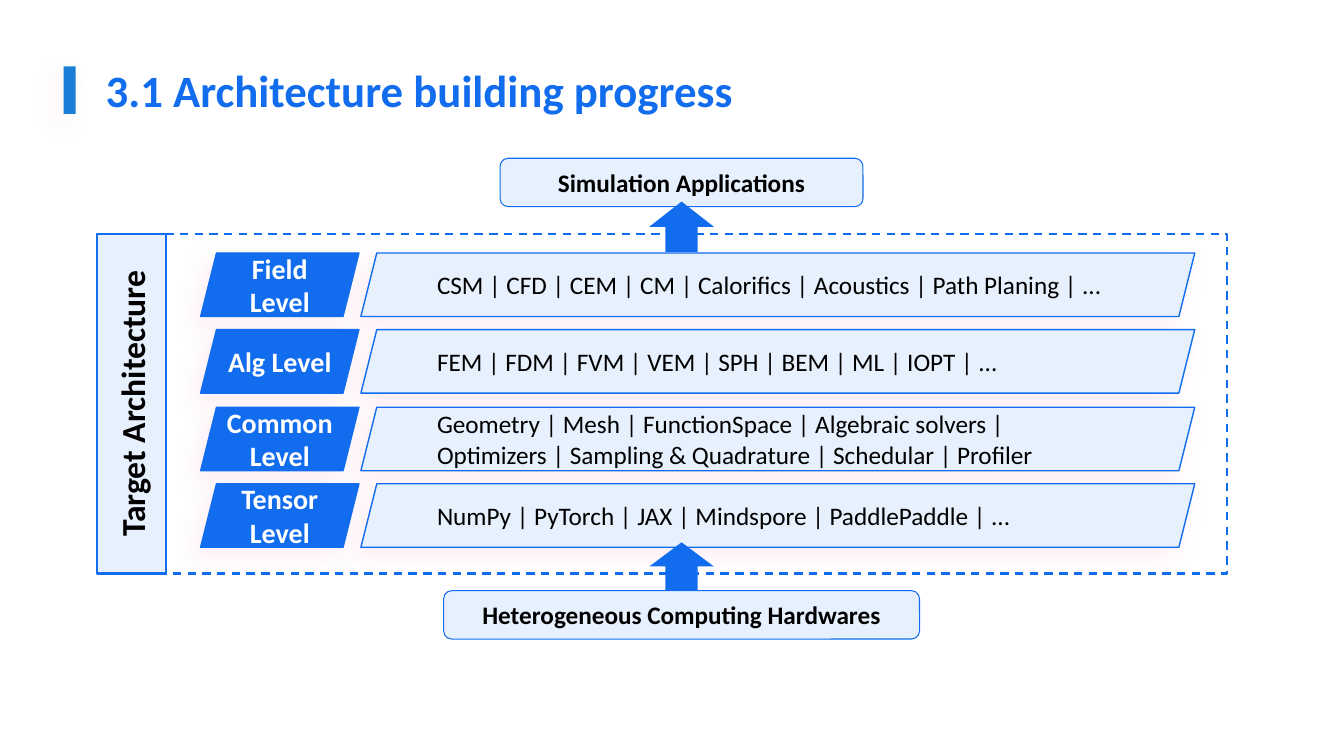
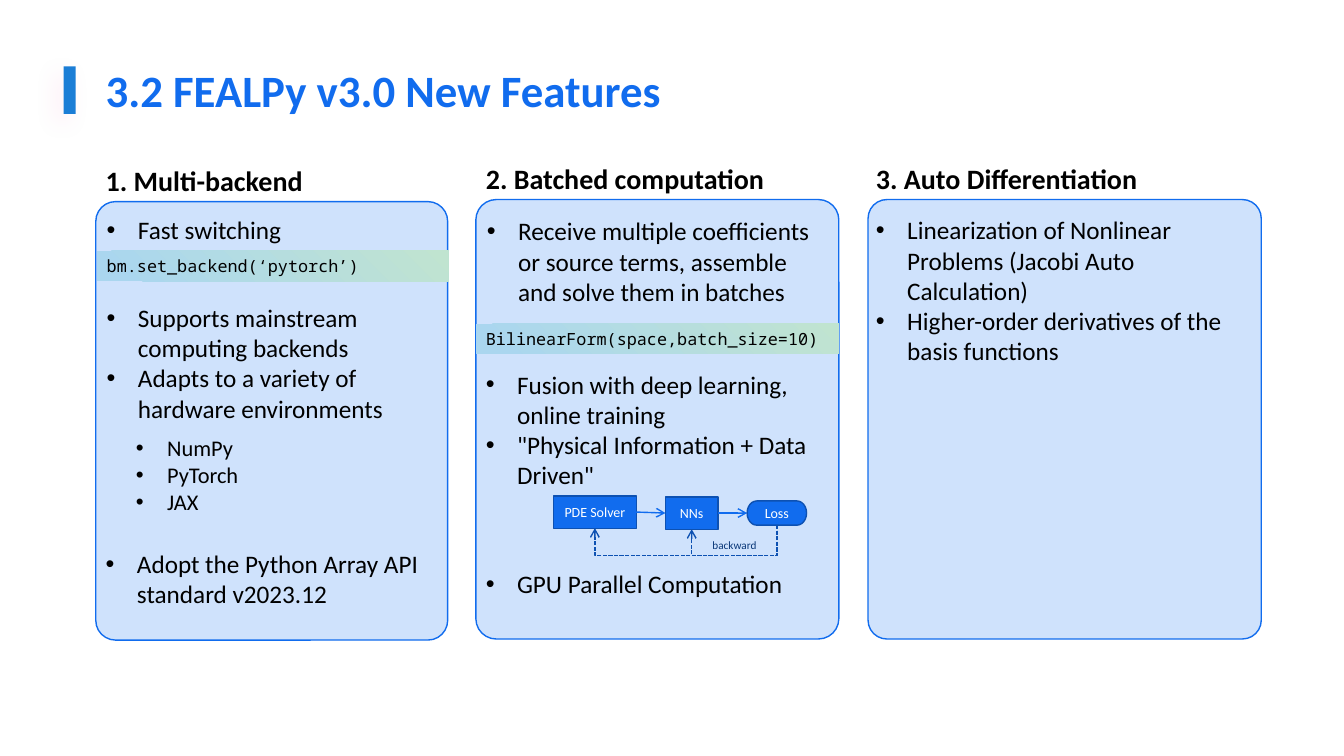
from dataclasses import dataclass, field
from typing import Any

from lxml import etree
from pptx import Presentation
from pptx.dml.color import RGBColor
from pptx.enum.dml import MSO_LINE
from pptx.enum.shapes import MSO_CONNECTOR, MSO_SHAPE
from pptx.enum.text import MSO_ANCHOR, PP_ALIGN
from pptx.oxml.ns import qn
from pptx.shapes.autoshape import Shape
from pptx.shapes.connector import Connector
from pptx.slide import Slide
from pptx.util import Emu, Pt

RECT = MSO_SHAPE.RECTANGLE
ROUND = MSO_SHAPE.ROUNDED_RECTANGLE
SLANT = MSO_SHAPE.PARALLELOGRAM
ARROW = MSO_SHAPE.UP_ARROW
STEP = MSO_SHAPE.FLOWCHART_PROCESS
ENDING = MSO_SHAPE.FLOWCHART_TERMINATOR
STRAIGHT, ELBOW = MSO_CONNECTOR.STRAIGHT, MSO_CONNECTOR.ELBOW
DASH, DOTS = MSO_LINE.DASH, MSO_LINE.SQUARE_DOT
TOP, MIDDLE = MSO_ANCHOR.TOP, MSO_ANCHOR.MIDDLE
LEFT, CENTER = PP_ALIGN.LEFT, PP_ALIGN.CENTER
UPPER, WEST, LOWER, EAST = range(4)
SCALE = 9144
Area = tuple[int, int, int, int]


@dataclass(frozen=True)
class Style:
    size: int
    color: str = "000000"
    bold: bool = False
    name: str = "Calibri"


@dataclass(frozen=True)
class Theme:
    blue: str = "116CEE"
    bar: str = "1B7ED6"
    pale: str = "E7F0FD"
    panel: str = "CFE2FC"
    edge: str = "0D51B2"
    glow: str = "FF5DA9"
    band: tuple[str, str] = ("AAD6EF", "C0E4D0")
    title: Style = Style(32, "116CEE", True)
    side: Style = Style(24, bold=True)
    head: Style = Style(20, bold=True)
    label: Style = Style(20, "FFFFFF", True)
    strong: Style = Style(18, bold=True)
    body: Style = Style(18)
    minor: Style = Style(16)
    code: Style = Style(12, name="Noto Sans Mono")
    node: Style = Style(10, "FFFFFF")
    note: Style = Style(8, "083677")


THEME = Theme()


@dataclass(frozen=True)
class Layer:
    label: str
    text: str


@dataclass(frozen=True)
class Points:
    area: Area
    lines: tuple[str, ...]
    style: Style = THEME.body


@dataclass(frozen=True)
class Column:
    head: str
    spot: Area
    area: Area
    round: float
    points: tuple[Points, ...]
    code: str = ""
    band: Area = field(default=(0, 0, 0, 0))


LAYERS = (
    Layer("Field Level", "CSM | CFD | CEM | CM | Calorifics | Acoustics | Path Planing | ..."),
    Layer("Alg Level", "FEM | FDM | FVM | VEM | SPH | BEM | ML | IOPT | ..."),
    Layer(
        "Common Level",
        "Geometry | Mesh | FunctionSpace | Algebraic solvers | "
        "Optimizers | Sampling & Quadrature | Schedular | Profiler",
    ),
    Layer("Tensor Level", "NumPy | PyTorch | JAX | Mindspore | PaddlePaddle | ..."),
)

COLUMNS = (
    Column(
        "1. Multi-backend", (95, 157, 290, 44), (95, 200, 349, 435), 0.056,
        (
            Points((96, 208, 347, 40), ("Fast switching",)),
            Points((96, 295, 349, 127), (
                "Supports mainstream computing backends",
                "Adapts to a variety of hardware environments",
            )),
            Points((125, 426, 277, 91), ("NumPy", "PyTorch", "JAX"), THEME.minor),
            Points((95, 539, 349, 70), ("Adopt the Python Array API standard v2023.12",)),
        ),
        "bm.set_backend(‘pytorch’)", (96, 249, 349, 30),
    ),
    Column(
        "2. Batched computation", (472, 155, 359, 44), (472, 198, 360, 436), 0.056,
        (
            Points((473, 209, 359, 101), (
                "Receive multiple coefficients or source terms, "
                "assemble and solve them in batches",
            )),
            Points((472, 361, 359, 131), (
                "Fusion with deep learning, online training",
                '"Physical Information + Data Driven"',
            )),
            Points((472, 559, 327, 40), ("GPU Parallel Computation",)),
        ),
        "BilinearForm(space,batch_size=10)", (472, 321, 360, 30),
    ),
    Column(
        "3. Auto Differentiation", (859, 155, 390, 44), (861, 198, 390, 436), 0.048,
        (
            Points((859, 208, 393, 161), (
                "Linearization of Nonlinear Problems (Jacobi Auto Calculation)",
                "Higher-order derivatives of the basis functions",
            )),
        ),
    ),
)


def px(value: float) -> Emu:
    return Emu(round(value * SCALE))


def rgb(color: str) -> RGBColor:
    return RGBColor.from_string(color)


def put(target: Any, values: dict[str, Any]) -> None:
    for name, value in values.items():
        setattr(target, name, value)


def mark(para: Any) -> None:
    props = para._p.get_or_add_pPr()
    props.set("marL", str(px(31)))
    props.set("indent", str(px(-31)))
    etree.SubElement(props, qn("a:buFont")).set("typeface", "Arial")
    etree.SubElement(props, qn("a:buChar")).set("char", "•")


def write(shape: Shape, lines: tuple[str, ...], style: Style, align: PP_ALIGN = LEFT,
          anchor: MSO_ANCHOR = TOP, inset: tuple[int, int] = (10, 5),
          bullet: bool = False) -> None:
    across, down = map(px, inset)
    frame = shape.text_frame
    put(frame, {
        "word_wrap": True, "vertical_anchor": anchor,
        "margin_left": across, "margin_right": across,
        "margin_top": down, "margin_bottom": down,
    })
    for place, line in enumerate(lines):
        para = frame.paragraphs[0] if place == 0 else frame.add_paragraph()
        if bullet:
            mark(para)
        para.alignment = align
        run = para.add_run()
        run.text = line
        put(run.font, {"size": Pt(style.size), "bold": style.bold, "name": style.name})
        run.font.color.rgb = rgb(style.color)


def label(slide: Slide, area: Area, lines: tuple[str, ...], style: Style, **form: Any) -> None:
    write(slide.shapes.add_textbox(*map(px, area)), lines, style, **form)


def draw(slide: Slide, kind: MSO_SHAPE, area: Area, fill: str = "", line: str = "",
         width: float = 1, glow: bool = False) -> Shape:
    shape = slide.shapes.add_shape(kind, *map(px, area))
    shape.shadow.inherit = False
    if fill:
        shape.fill.solid()
        shape.fill.fore_color.rgb = rgb(fill)
    else:
        shape.fill.background()
    if line:
        shape.line.color.rgb = rgb(line)
        shape.line.width = Pt(width)
    else:
        shape.line.fill.background()
    if glow:
        shade(shape)
    return shape


def shade(shape: Shape) -> None:
    effects = shape._element.spPr.find(qn("a:effectLst"))
    outer = etree.SubElement(effects, qn("a:outerShdw"))
    values = {"blurRad": Pt(16), "dist": Pt(8), "dir": 135 * 60000, "algn": "tr", "rotWithShape": 0}
    for name, value in values.items():
        outer.set(name, str(value))
    color = etree.SubElement(outer, qn("a:srgbClr"), val=THEME.glow)
    etree.SubElement(color, qn("a:alpha"), val="10000")


def link(slide: Slide, kind: MSO_CONNECTOR, start: Shape, exit: int,
         end: Shape, entry: int, color: str) -> Connector:
    line = slide.shapes.add_connector(kind, 0, 0, 0, 0)
    line.begin_connect(start, exit)
    line.end_connect(end, entry)
    line.line.color.rgb = rgb(color)
    line.line.width = Pt(1)
    return line


def finish(line: Connector) -> None:
    etree.SubElement(line.line._get_or_add_ln(), qn("a:tailEnd"), type="arrow")
    etree.SubElement(line._element.spPr, qn("a:effectLst"))


def loop(slide: Slide, start: Shape, end: Shape, base: int) -> None:
    line = link(slide, ELBOW, start, LOWER, end, LOWER, THEME.edge)
    line.line.dash_style = DOTS
    left, top = line.end_x, line.begin_y
    wide, high = line.begin_x - left, line.end_y - top
    props = line._element.spPr
    frame = props.find(qn("a:xfrm"))
    for name in ("flipH", "flipV"):
        frame.attrib.pop(name, None)
    frame.set("rot", str(90 * 60000))
    put(line, {
        "left": Emu(left + (wide - high) // 2), "top": Emu(top + (high - wide) // 2),
        "width": Emu(high), "height": Emu(wide),
    })
    guides = props.find(qn("a:prstGeom")).get_or_add_avLst()
    ratio = round((px(base) - top) / high * 100000)
    etree.SubElement(guides, qn("a:gd"), name="adj1", fmla=f"val {ratio}")
    finish(line)


def open_slide(deck: Any, title: str) -> Slide:
    slide = deck.slides.add_slide(deck.slide_layouts[6])
    draw(slide, RECT, (63, 66, 12, 47), THEME.bar, glow=True)
    label(slide, (95, 57, 1162, 64), (title,), THEME.title, anchor=MIDDLE, inset=(10, 0))
    return slide


def stack(slide: Slide) -> None:
    frame = draw(slide, RECT, (165, 232, 1052, 337), line=THEME.blue, width=1.5)
    frame.line.dash_style = DASH
    for place, layer in enumerate(LAYERS):
        top = 251 + place * 153 // 2
        row = draw(slide, SLANT, (358, top, 827, 63), THEME.pale, THEME.blue, glow=True)
        write(row, (layer.text,), THEME.body, anchor=MIDDLE, inset=(0, 5))
        tag = draw(slide, SLANT, (199, top, 157, 63), THEME.blue, THEME.blue, glow=True)
        write(tag, (layer.label,), THEME.label, CENTER, MIDDLE, (0, 5))
    for text, area in (
        ("Simulation Applications", (496, 157, 360, 48)),
        ("Heterogeneous Computing Hardwares", (440, 586, 472, 48)),
    ):
        box = draw(slide, ROUND, area, THEME.pale, THEME.blue, 0.75)
        write(box, (text,), THEME.strong, CENTER, MIDDLE)
    for top, high in ((200, 50), (538, 48)):
        draw(slide, ARROW, (644, top, 64, high), THEME.blue)
    side = draw(slide, RECT, (96, 232, 69, 337), THEME.pale, THEME.blue, 1.5)
    write(side, ("Target Architecture",), THEME.side, CENTER, MIDDLE)
    side.text_frame._txBody.bodyPr.set("vert", "vert270")


def column(slide: Slide, item: Column) -> None:
    panel = draw(slide, ROUND, item.area, THEME.panel, THEME.blue)
    panel.adjustments[0] = item.round
    label(slide, item.spot, (item.head,), THEME.head)
    for group in item.points:
        label(slide, group.area, group.lines, group.style, bullet=True)
    if item.code:
        band = draw(slide, RECT, item.band)
        band.fill.gradient()
        band.fill.gradient_angle = 45
        for stop, spot, color in zip(band.fill.gradient_stops, (0.06, 1), THEME.band):
            stop.position = spot
            stop.color.rgb = rgb(color)
        write(band, (item.code,), THEME.code)


def flow(slide: Slide) -> None:
    nodes = []
    for text, kind, area in (
        ("PDE Solver", STEP, (549, 492, 82, 32)),
        ("NNs", STEP, (660, 493, 52, 32)),
        ("Loss", ENDING, (741, 497, 59, 24)),
    ):
        node = draw(slide, kind, area, THEME.blue, THEME.edge)
        write(node, (text,), THEME.node, CENTER, MIDDLE, (0, 0))
        nodes.append(node)
    for start, end in zip(nodes, nodes[1:]):
        finish(link(slide, STRAIGHT, start, EAST, end, WEST, THEME.blue))
    solver, net, loss = nodes
    for end in (net, solver):
        loop(slide, loss, end, 551)
    label(slide, (694, 529, 69, 23), ("backward",), THEME.note, align=CENTER)


def main() -> None:
    deck = Presentation()
    put(deck, {"slide_width": px(1333), "slide_height": px(750)})
    stack(open_slide(deck, "3.1 Architecture building progress"))
    slide = open_slide(deck, "3.2 FEALPy v3.0 New Features")
    for item in COLUMNS:
        column(slide, item)
    flow(slide)
    deck.save("out.pptx")


if __name__ == "__main__":
    main()
